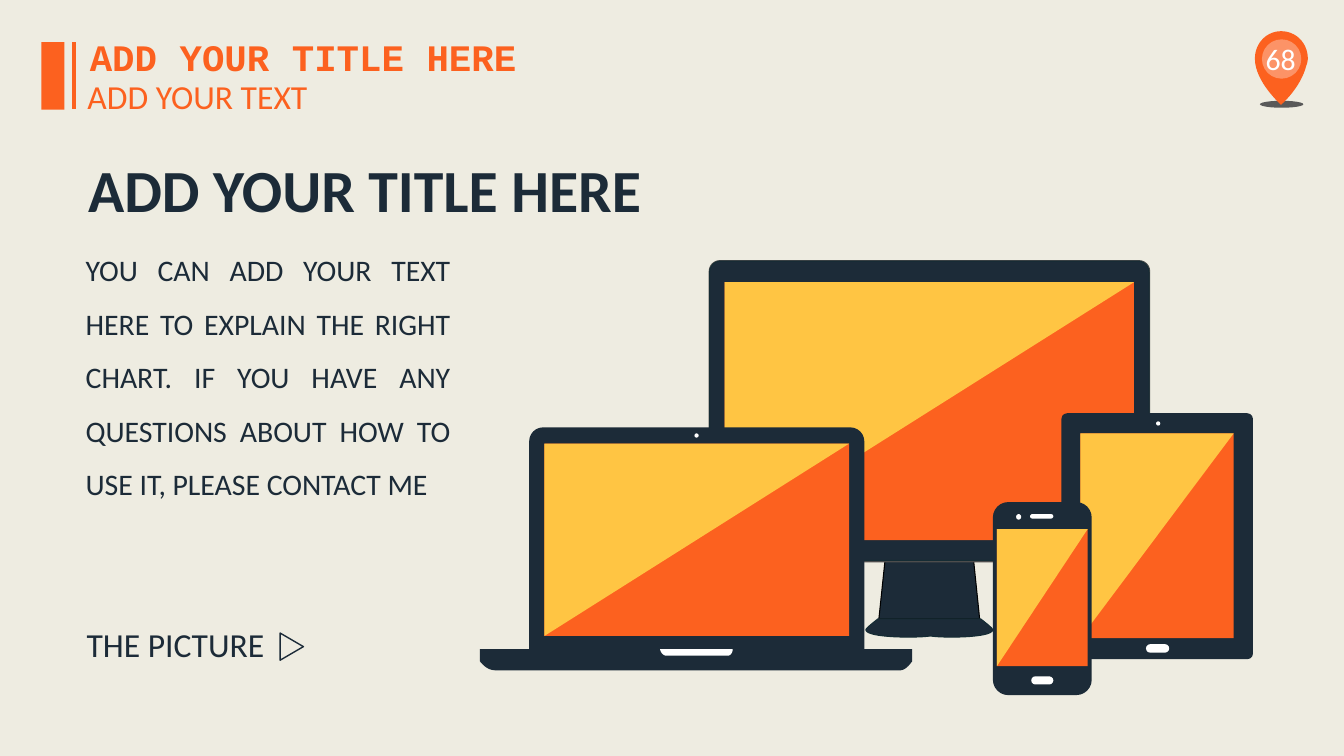
from lxml import etree
from pptx import Presentation
from pptx import util as u
from pptx.dml.color import RGBColor
from pptx.enum import shapes, text
from pptx.oxml import ns

Pt = u.Pt
KIND = shapes.MSO_SHAPE
ALIGN = text.PP_ALIGN
ANCHOR = text.MSO_ANCHOR

# Theme: colours and type sizes
THEME = {
    "paper": RGBColor.from_string("EEECE1"),
    "navy": RGBColor.from_string("1C2B38"),
    "edge": RGBColor.from_string("152C34"),
    "orange": RGBColor.from_string("FC611F"),
    "yellow": RGBColor.from_string("FFC543"),
    "white": RGBColor.from_string("FFFFFF"),
    "grey": RGBColor.from_string("595959"),
    "rim": RGBColor.from_string("4D4D4D"),
    "black": RGBColor.from_string("000000"),
    "sans": "Calibri",
    "mono": "Courier New",
    "heading": Pt(42.7),
    "header": Pt(26.7),
    "label": Pt(24),
    "body": Pt(21.3),
}

presentation = Presentation()
presentation.slide_width, presentation.slide_height = Pt(960), Pt(540)
slide = presentation.slides.add_slide(presentation.slide_layouts[1])
slide.background.fill.solid()
slide.background.fill.fore_color.rgb = THEME["paper"]


def draw(kind, box, fill=None, line=None, weight=0.75, radius=None):
    """Add a preset shape with box = left, top, width, height."""
    shape = slide.shapes.add_shape(kind, *map(Pt, box))
    if radius is not None:
        shape.adjustments[0] = radius / min(box[2:])
    paint(shape, fill, line, weight)
    return shape


def paint(shape, fill, line=None, weight=0.75):
    shape.shadow.inherit = False
    for name, target in ((fill, shape.fill), (line, shape.line.fill)):
        if name:
            target.solid()
            target.fore_color.rgb = THEME[name]
        else:
            target.background()
    if line:
        shape.line.width = Pt(weight)


# Devices, back to front: body, corner radius, screen, white details
monitor = {"body": (506.9, 186.5, 313.9, 213.8), "radius": 8, "edge": "edge",
           "screen": (517.7, 201.6, 292.3, 184.3), "dots": [], "pills": []}
tablet = {"body": (758.2, 295.2, 136.8, 175.7), "radius": 4, "edge": None,
          "screen": (771.8, 309.6, 109.4, 146.2),
          "dots": [(825.8, 301, 3, 3)], "pills": [(818.6, 460.1, 16.6, 6.1)]}
laptop = {"body": (378, 305.3, 239.4, 167.8), "radius": 10, "edge": None,
          "screen": (388.8, 316.8, 217.8, 137.5),
          "dots": [(496.1, 309.6, 3, 3)], "pills": []}
phone = {"body": (709.2, 358.6, 70.6, 137.9), "radius": 11, "edge": None,
         "screen": (712.1, 378, 64.8, 97.9),
         "dots": [(725.8, 367.2, 3.6, 4)],
         "pills": [(736.6, 483.1, 15.8, 5.8), (735.8, 367.2, 16.6, 3.2)]}

# Outlines: a pair is a corner, six numbers are a Bezier curve
neck = [(632.2, 400.3), (695.5, 400.3), (699.8, 442.1), (627.8, 442.1)]
laptop_foot = [(342.7, 463.7), (342.7, 472.3),
               (348, 478.8, 352, 478.8, 355, 478.8), (643, 478.8),
               (646, 478.8, 649, 476, 651.6, 472.3), (651.6, 463.7)]
laptop_notch = [(471.6, 463.7), (471.6, 465.8, 473.8, 468.4, 475.9, 468.4),
                (519.8, 468.4), (522, 468.4, 523.4, 465.8, 523.4, 463.7)]
stand_base = [(700.6, 442.1), (627.1, 442.1),
              (626.4, 442.8, 618.5, 448.6, 618.5, 450),
              (619.2, 455.8, 656.6, 455.8, 664.6, 454.3),
              (672.5, 455.8, 708.5, 455.8, 709.2, 450),
              (709.2, 448.6, 701.3, 442.8, 700.6, 442.1)]
pin = [(934.2, 42), (934.2, 30.6, 925.6, 22.3, 915.1, 22.3),
       (905, 22.3, 896.4, 30.6, 896.4, 42),
       (896.4, 58.3, 915.1, 74.9, 915.1, 74.9),
       (927.4, 63.4, 931.7, 52.6, 933.1, 46.8),
       (933.8, 45.4, 934, 44, 934.2, 42)]


def outline(path, fill, line=None):
    """Add a closed freeform, sampling each curve in short steps."""
    points = [path[0]]
    for part in path[1:]:
        if len(part) == 2:
            points.append(part)
            continue
        knots = [points[-1], part[:2], part[2:4], part[4:]]
        for step in range(1, 17):
            t = step / 16
            weights = ((1 - t) ** 3, 3 * t * (1 - t) ** 2, 3 * t * t * (1 - t), t ** 3)
            points.append(tuple(sum(w * knot[axis] for w, knot in zip(weights, knots))
                                for axis in (0, 1)))
    corners = [(Pt(x), Pt(y)) for x, y in points]
    builder = slide.shapes.build_freeform(*corners[0], scale=1.0)
    builder.add_line_segments(corners[1:], close=True)
    paint(builder.convert_to_shape(), fill, line)


# Device drawing
outline(neck, "navy", "black")
draw(KIND.ROUNDED_RECTANGLE, (506.2, 185.8, 315.4, 216), "rim", radius=8)
for device in (monitor, tablet, laptop, phone):
    draw(KIND.ROUNDED_RECTANGLE, device["body"], "navy", device["edge"],
         radius=device["radius"])
    if device is laptop:
        outline(laptop_foot, "navy")
        outline(laptop_notch, "white")
    left, top, width, height = device["screen"]
    draw(KIND.RECTANGLE, device["screen"], "orange")
    outline([(left + width, top), (left, top), (left, top + height)], "yellow")
    for dot in device["dots"]:
        draw(KIND.OVAL, dot, "white")
    for pill in device["pills"]:
        draw(KIND.ROUNDED_RECTANGLE, pill, "white", radius=min(pill[2:]) / 2)
outline(stand_base, "navy", "edge")

# Page number pin
draw(KIND.OVAL, (900, 72, 31, 5), "grey")
outline(pin, "orange")
halo = draw(KIND.OVAL, (901.4, 28.1, 28.1, 28.1), "white")
halo_color = halo.fill._xPr.find(".//" + ns.qn("a:srgbClr"))
etree.SubElement(halo_color, ns.qn("a:alpha"), val="32000")

# Header bars and arrow
draw(KIND.RECTANGLE, (29.5, 30.2, 16.6, 48.2), "orange")
rule = slide.shapes.add_connector(shapes.MSO_CONNECTOR.STRAIGHT,
                                  Pt(52.6), Pt(30.2), Pt(52.6), Pt(77.8))
rule.line.color.rgb = THEME["orange"]
rule.line.width = Pt(3)
etree.SubElement(rule._element.spPr, ns.qn("a:effectLst"))
arrow = draw(KIND.ISOSCELES_TRIANGLE, (198.7, 453.6, 19.4, 16.6), line="navy", weight=1)
arrow.rotation = 90

# Texts: holder, box, wording, colour, font format, paragraph format, frame format
title, body = slide.shapes.title, slide.placeholders[1]
sans, mono = THEME["sans"], THEME["mono"]
texts = [
    (title, (54, 105.8, 413.3, 59), "ADD YOUR TITLE HERE", "navy",
     {"name": sans, "size": THEME["heading"], "bold": True},
     {"alignment": ALIGN.CENTER}, {"word_wrap": False}),
    (body, (54, 163.4, 275, 200.9),
     "YOU CAN ADD YOUR TEXT HERE TO EXPLAIN THE RIGHT CHART. IF YOU HAVE ANY "
     "QUESTIONS ABOUT HOW TO USE IT, PLEASE CONTACT ME", "navy",
     {"name": sans, "size": THEME["body"]},
     {"alignment": ALIGN.JUSTIFY, "line_spacing": 1.5, "space_before": Pt(0)},
     {"word_wrap": True}),
    (None, (54.7, 442.1, 142.6, 36), "THE PICTURE", "navy",
     {"name": sans, "size": THEME["label"]},
     {"alignment": ALIGN.LEFT}, {"word_wrap": False}),
    (None, (56.9, 20.9, 319.7, 39.6), "ADD YOUR TITLE HERE", "orange",
     {"name": mono, "size": THEME["header"], "bold": True},
     {"alignment": ALIGN.CENTER}, {"word_wrap": False}),
    (None, (55.4, 50.4, 173.5, 36), "ADD YOUR TEXT", "orange",
     {"name": sans, "size": THEME["label"]},
     {"alignment": ALIGN.LEFT}, {"word_wrap": False}),
    (None, (802.8, 27.4, 223.9, 28.8), "68", "white",
     {"name": sans, "size": THEME["body"]},
     {"alignment": ALIGN.CENTER},
     {"word_wrap": True, "vertical_anchor": ANCHOR.MIDDLE}),
]
for holder, box, wording, color, font_format, paragraph_format, frame_format in texts:
    shape = holder if holder is not None else slide.shapes.add_textbox(*map(Pt, box))
    shape.left, shape.top, shape.width, shape.height = map(Pt, box)
    frame = shape.text_frame
    frame.text = wording
    paragraph = frame.paragraphs[0]
    if holder is body:
        properties = paragraph._p.get_or_add_pPr()
        properties.set("marL", "0")
        properties.set("indent", "0")
        etree.SubElement(properties, ns.qn("a:buNone"))
    font = paragraph.runs[0].font
    font.color.rgb = THEME[color]
    frame_defaults = {"auto_size": text.MSO_AUTO_SIZE.NONE, "vertical_anchor": ANCHOR.TOP}
    for target, values in ((frame, frame_defaults | frame_format),
                           (paragraph, paragraph_format), (font, font_format)):
        for attribute, value in values.items():
            setattr(target, attribute, value)

presentation.save("out.pptx")
